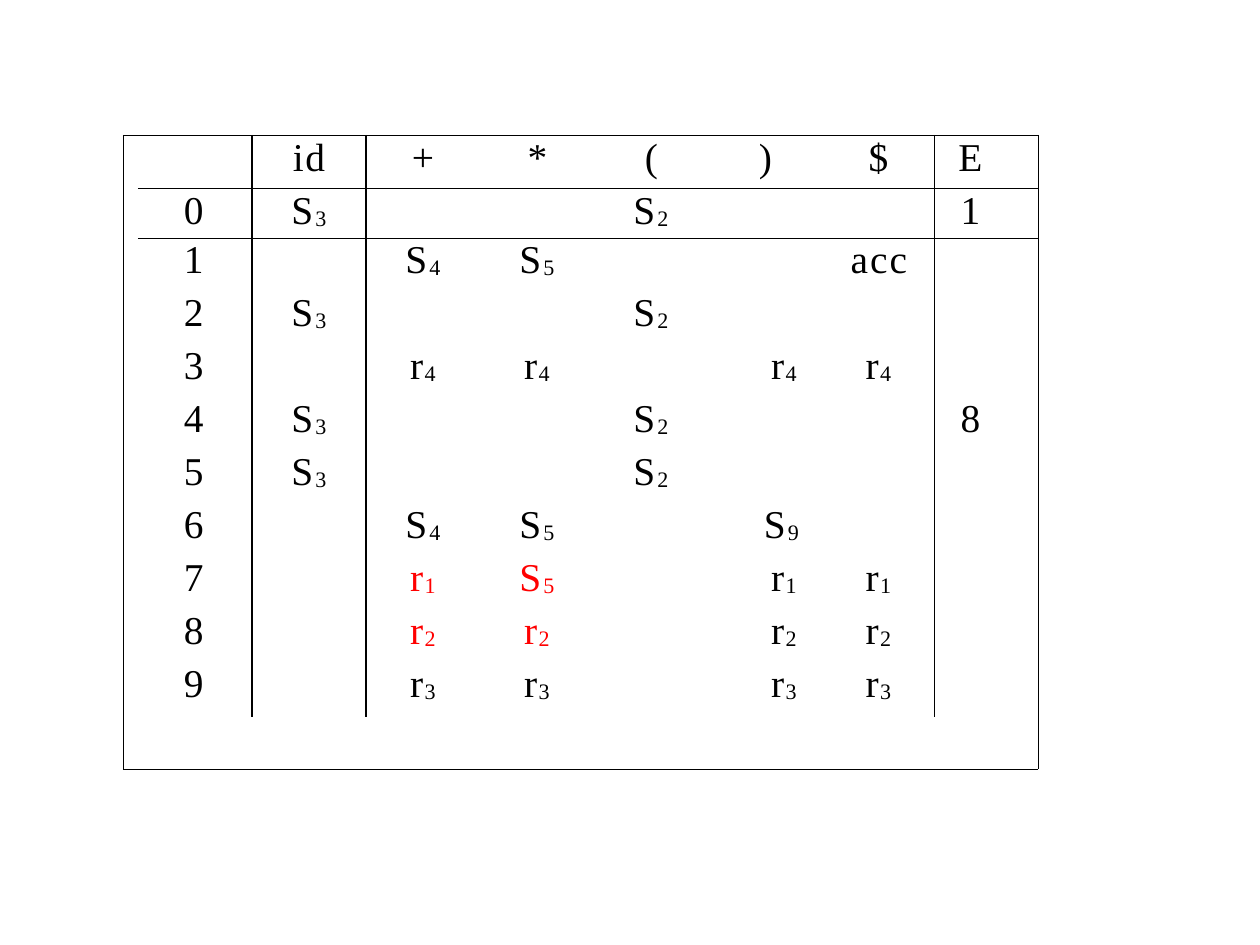
from lxml import etree
from pptx import Presentation
from pptx.dml.color import RGBColor
from pptx.enum.text import PP_ALIGN
from pptx.oxml.ns import qn
from pptx.util import Pt

CENTER, LEFT = PP_ALIGN.CENTER, PP_ALIGN.LEFT
PX = 914400 // 126
COLORS = {"ink": "000000", "conflict": "FF0000"}
FONT = "Times New Roman"
PLAIN_TABLE = "{2D5ABB26-0587-4C30-8999-92F81FD0307C}"

TABLE_BOX = (123, 135, 915, 634)
COLUMN_WIDTHS = [15, 114, 114, 114, 114, 114, 109, 118, 103]
ROW_HEIGHTS = [53, 50] + [53] * 8 + [55, 52]
HEADINGS = ["", "id", "+", "*", "(", ")", "$", "E"]
ACTIONS = [
    {"id": "S3", "(": "S2", "E": "1"},
    {"+": "S4", "*": "S5", "$": "acc"},
    {"id": "S3", "(": "S2"},
    {"+": "r4", "*": "r4", ")": "r4", "$": "r4"},
    {"id": "S3", "(": "S2", "E": "8"},
    {"id": "S3", "(": "S2"},
    {"+": "S4", "*": "S5", ")": "S9"},
    {"+": "r1", "*": "S5", ")": "r1", "$": "r1"},
    {"+": "r2", "*": "r2", ")": "r2", "$": "r2"},
    {"+": "r3", "*": "r3", ")": "r3", "$": "r3"},
]
CONFLICTS = {(7, "+"), (7, "*"), (8, "+"), (8, "*")}
HEADING_INDENTS = {"*": 1, "(": 1, ")": 6, "$": 5}
ACTION_INDENTS = {")": {"r": 43, "S": 38}, "$": {"r": 5, "a": 6}}
STATE_INDENT = 46
GOTO_MARGIN = 32
LETTER_SPACING = {"S": (1.1, 1.6), "r": (0.8, 1.1)}
WORD_SPACING = {"id": 0.8, "acc": 1.1}


def add_span(para, text, size, spacing, baseline=0):
    span = para.add_run()
    span.text = text
    span.font.size = Pt(size)
    properties = span._r.get_or_add_rPr()
    properties.set("spc", str(round(spacing * 100)))
    if baseline:
        properties.set("baseline", str(baseline * 1000))


def write_cell(cell, text, color="ink", align=CENTER, indent=0, line=None, before=0):
    para = cell.text_frame.paragraphs[0]
    para.alignment = align
    para.font.name = FONT
    para.font.color.rgb = RGBColor.from_string(COLORS[color])
    para._p.get_or_add_pPr().set("marL", str(indent * PX))
    if line:
        para.line_spacing = Pt(line)
    para.space_before = Pt(before)
    if text[0] in LETTER_SPACING:
        letter_gap, index_gap = LETTER_SPACING[text[0]]
        add_span(para, text[0], 22.5, letter_gap)
        add_span(para, text[1:], 21.8, index_gap, -6)
    else:
        add_span(para, text, 22.5, WORD_SPACING.get(text, 0))


def cell_borders(row, column):
    last_row, last_column = len(ROW_HEIGHTS) - 1, len(COLUMN_WIDTHS) - 1
    borders = {}
    if column == 0:
        borders["L"] = 0.25
    if column == last_column or (row, column) == (last_row, 1):
        borders["R"] = 0.25
    if row == 0:
        borders["T"] = 0.25
    if row == last_row or (row, column) == (0, 0):
        borders["B"] = 0.25
    if row < last_row:
        if column in (2, 3, 8):
            borders["L"] = 0.75
        if column in (1, 2, 7):
            borders["R"] = 0.75
    if column > 0:
        if row in (1, 2):
            borders["T"] = 0.5
        if row in (0, 1):
            borders["B"] = 0.5
    return borders


def style_cell(cell, borders):
    cell.margin_left = cell.margin_right = cell.margin_top = cell.margin_bottom = 0
    properties = cell._tc.get_or_add_tcPr()
    for side in "LRTB":
        line = etree.SubElement(properties, qn(f"a:ln{side}"))
        if side in borders:
            line.set("w", str(Pt(borders[side])))
            fill = etree.SubElement(line, qn("a:solidFill"))
            etree.SubElement(fill, qn("a:srgbClr")).set("val", COLORS["ink"])
        else:
            etree.SubElement(line, qn("a:noFill"))
    cell.fill.background()


def add_parsing_table(page, box):
    left, top, width, height = [value * PX for value in box]
    frame = page.shapes.add_table(len(ROW_HEIGHTS), len(COLUMN_WIDTHS), left, top, width, height)
    table = frame.table
    table.first_row = table.horz_banding = False
    table._tbl.tblPr.find(qn("a:tableStyleId")).text = PLAIN_TABLE
    for column, column_width in zip(table.columns, COLUMN_WIDTHS):
        column.width = column_width * PX
    for row, row_height in zip(table.rows, ROW_HEIGHTS):
        row.height = row_height * PX
    for row in range(len(ROW_HEIGHTS)):
        for column in range(len(COLUMN_WIDTHS)):
            style_cell(table.cell(row, column), cell_borders(row, column))

    last_row, last_column = len(ROW_HEIGHTS) - 1, len(COLUMN_WIDTHS) - 1
    table.cell(0, 0).merge(table.cell(last_row, 0))
    table.cell(last_row, 1).merge(table.cell(last_row, last_column))
    for row in range(last_row):
        table.cell(row, last_column).margin_right = GOTO_MARGIN * PX

    for column, heading in enumerate(HEADINGS, 1):
        if heading:
            indent = HEADING_INDENTS.get(heading, 0)
            write_cell(table.cell(0, column), heading, indent=indent, line=25.8)
    for state, actions in enumerate(ACTIONS):
        row = state + 1
        line = 25.9 if state == 0 else None
        before = (0, 0.1)[state] if state < 2 else 0.3
        write_cell(table.cell(row, 1), str(state), "ink", LEFT, STATE_INDENT, line, before)
        for symbol, action in actions.items():
            cell = table.cell(row, HEADINGS.index(symbol) + 1)
            color = "conflict" if (state, symbol) in CONFLICTS else "ink"
            indent = ACTION_INDENTS.get(symbol, {}).get(action[0], 0)
            write_cell(cell, action, color, CENTER, indent, line, before)


def main():
    deck = Presentation()
    deck.slide_width, deck.slide_height = 1260 * PX, 945 * PX
    page = deck.slides.add_slide(deck.slide_layouts[6])
    add_parsing_table(page, TABLE_BOX)
    deck.save("out.pptx")


if __name__ == "__main__":
    main()
